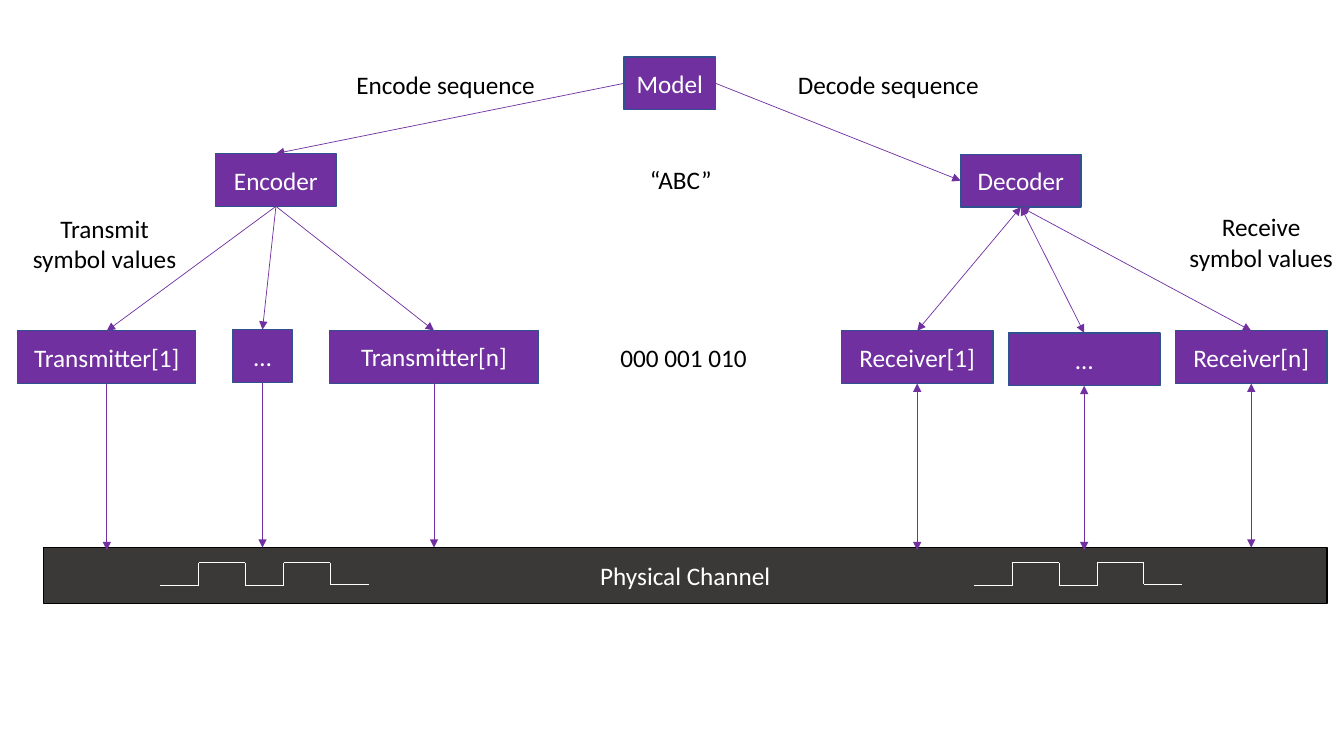
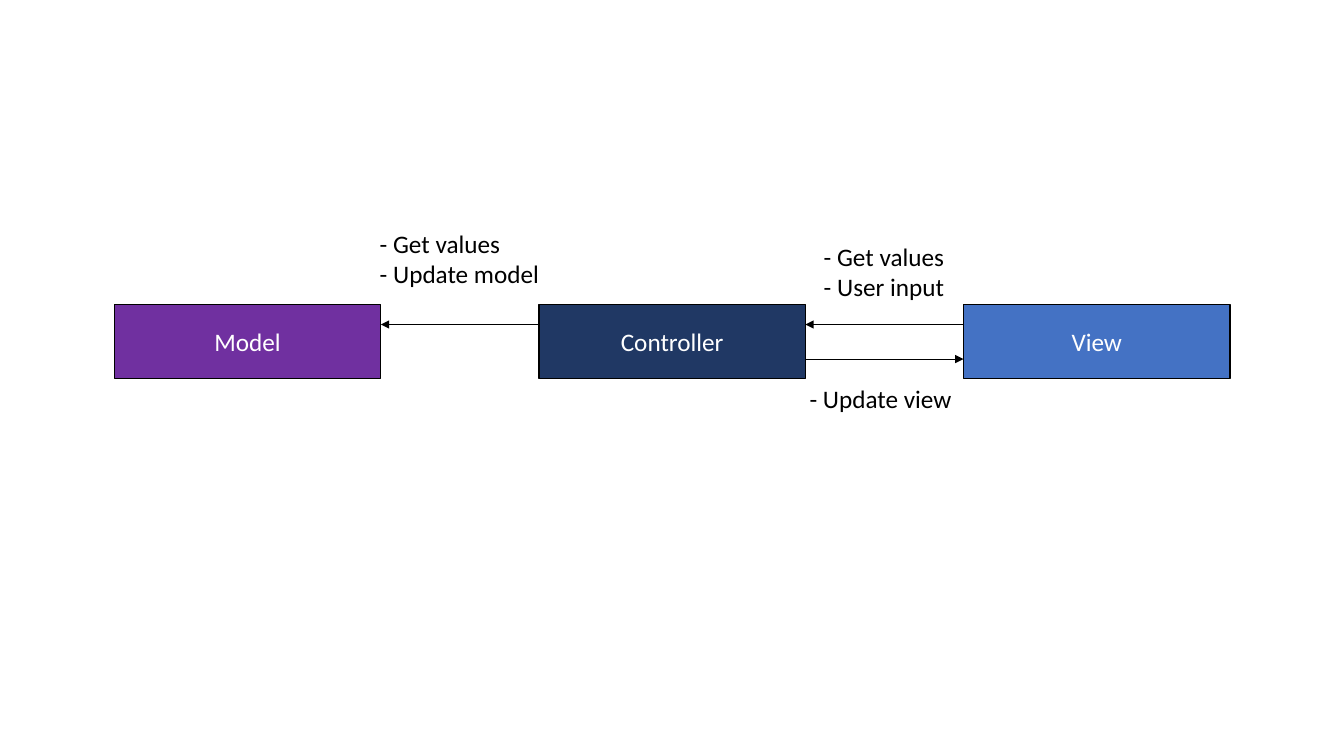
"""Build two architecture diagrams: a channel model and a model-controller-view flow."""
from itertools import pairwise

from lxml import etree
from pptx import Presentation
from pptx.dml.color import RGBColor
from pptx.enum.shapes import MSO_CONNECTOR, MSO_SHAPE
from pptx.enum.text import MSO_ANCHOR, PP_ALIGN
from pptx.oxml.ns import qn
from pptx.util import Pt

RECTANGLE = MSO_SHAPE.RECTANGLE
STRAIGHT = MSO_CONNECTOR.STRAIGHT
MIDDLE, TOP_ANCHOR = MSO_ANCHOR.MIDDLE, MSO_ANCHOR.TOP
CENTER, LEFT = PP_ALIGN.CENTER, PP_ALIGN.LEFT
TOP_SITE, LEFT_SITE, BOTTOM_SITE, RIGHT_SITE = range(4)

PURPLE = RGBColor(0x70, 0x30, 0xA0)
EDGE_BLUE = RGBColor(0x2F, 0x52, 0x8F)
CHARCOAL = RGBColor(0x3B, 0x38, 0x38)
NAVY = RGBColor(0x20, 0x38, 0x64)
BLUE = RGBColor(0x44, 0x72, 0xC4)
BLACK = RGBColor(0, 0, 0)
WHITE = RGBColor(0xFF, 0xFF, 0xFF)


def add_label(slide, text, left, top, width, height, align=LEFT, fill=None, edge=None):
    """Add a filled box with white text, or plain black text when no fill is given."""
    frame = [Pt(value) for value in (left, top, width, height)]
    if fill is None:
        label = slide.shapes.add_textbox(*frame)
    else:
        label = slide.shapes.add_shape(RECTANGLE, *frame)
        label.shadow.inherit = False
        label.fill.solid()
        label.fill.fore_color.rgb = fill
        label.line.color.rgb = edge
        label.line.width = Pt(1)
    label.text_frame.text = text
    label.text_frame.word_wrap = fill is not None
    label.text_frame.vertical_anchor = MIDDLE if fill is not None else TOP_ANCHOR
    for paragraph in label.text_frame.paragraphs:
        paragraph.alignment = align
        paragraph.font.name = "Calibri"
        paragraph.font.size = Pt(18)
        paragraph.font.color.rgb = BLACK if fill is None else WHITE
    return label


def add_line(slide, start, end, color, arrows=("tailEnd",)):
    """Add a thin straight line with triangles at the named ends."""
    line = slide.shapes.add_connector(STRAIGHT, *[Pt(value) for value in (*start, *end)])
    line.line.color.rgb = color
    line.line.width = Pt(0.5)
    for arrow in arrows:
        etree.SubElement(line.line._get_or_add_ln(), qn(f"a:{arrow}"), type="triangle")
    etree.SubElement(line._element.spPr, qn("a:effectLst"))
    return line


presentation = Presentation()
presentation.slide_width, presentation.slide_height = Pt(960), Pt(540)
blank_layout = presentation.slide_layouts[6]

channel_slide = presentation.slides.add_slide(blank_layout)
NODES = {
    "model": ("Model", 445.7, 40.7, 65.5),
    "encoder": ("Encoder", 154.1, 109.7, 86),
    "decoder": ("Decoder", 686.2, 110.2, 86),
    "transmitter n": ("Transmitter[n]", 235.4, 236.1, 149.2),
    "transmitter gap": ("…", 166.1, 235.5, 42.8),
    "transmitter 1": ("Transmitter[1]", 12.7, 236.3, 127.2),
    "receiver 1": ("Receiver[1]", 601, 236.3, 108.3),
    "receiver n": ("Receiver[n]", 839.6, 236.3, 108.3),
    "receiver gap": ("…", 720.3, 237.8, 108.3),
}
nodes = {
    key: add_label(channel_slide, text, left, top, width, 37.7, CENTER, PURPLE, EDGE_BLUE)
    for key, (text, left, top, width) in NODES.items()
}
add_label(channel_slide, "Physical Channel", 31.2, 391.2, 916.6, 39.9, CENTER, CHARCOAL, BLACK)

ONE_WAY, TWO_WAY = ("tailEnd",), ("headEnd", "tailEnd")
LINKS = [
    ("model", LEFT_SITE, "encoder", TOP_SITE, ONE_WAY),
    ("model", RIGHT_SITE, "decoder", LEFT_SITE, ONE_WAY),
]
for coder, family, arrows in (("encoder", "transmitter", ONE_WAY), ("decoder", "receiver", TWO_WAY)):
    for member in ("1", "gap", "n"):
        LINKS.append((coder, BOTTOM_SITE, f"{family} {member}", TOP_SITE, arrows))
for source, source_site, target, target_site, arrows in LINKS:
    link = add_line(channel_slide, (0, 0), (0, 0), PURPLE, arrows)
    link.begin_connect(nodes[source], source_site)
    link.end_connect(nodes[target], target_site)

for key, channel_y, arrows in (
    ("transmitter 1", 393, ONE_WAY),
    ("transmitter gap", 391.2, ONE_WAY),
    ("transmitter n", 391.2, ONE_WAY),
    ("receiver 1", 393, TWO_WAY),
    ("receiver gap", 393, TWO_WAY),
    ("receiver n", 391.2, TWO_WAY),
):
    node = nodes[key]
    center_x = node.left.pt + node.width.pt / 2
    drop = add_line(channel_slide, (center_x, 300), (center_x, channel_y), PURPLE, arrows)
    drop.begin_connect(node, BOTTOM_SITE)

for text, left, top, width, height, align in (
    ("Encode sequence", 247.5, 46.2, 144, 29, LEFT),
    ("Transmit\nsymbol values", 15.7, 149, 118, 51, CENTER),
    ("Receive\nsymbol values", 841.8, 147.6, 118, 51, CENTER),
    ("Decode sequence", 562.8, 46.2, 145.5, 29, LEFT),
    ("“ABC”", 457.2, 114, 65.5, 29, LEFT),
    ("000 001 010", 436.1, 240.7, 106, 29, LEFT),
):
    add_label(channel_slide, text, left, top, width, height, align)

HIGH, LOW, LAST_LOW = 402, 418.3, 417.1
PULSES = [
    (0, LOW), (27.6, LOW), (27.6, HIGH), (60.8, HIGH), (60.8, LOW),
    (88.2, LOW), (88.2, HIGH), (121.4, HIGH), (121.4, LAST_LOW), (149, LAST_LOW),
]
for signal_left in (114.4, 695.6):
    for (x1, y1), (x2, y2) in pairwise(PULSES):
        add_line(channel_slide, (signal_left + x1, y1), (signal_left + x2, y2), WHITE, ())

flow_slide = presentation.slides.add_slide(blank_layout)
PART_LEFT, PART_WIDTH, PART_PITCH = 81.7, 190.3, 303.3
for column, (text, fill) in enumerate((("Model", PURPLE), ("Controller", NAVY), ("View", BLUE))):
    add_label(flow_slide, text, PART_LEFT + column * PART_PITCH, 217.4, PART_WIDTH, 52.8,
              CENTER, fill, BLACK)

model_right = PART_LEFT + PART_WIDTH
controller_left = PART_LEFT + PART_PITCH
controller_right = controller_left + PART_WIDTH
view_left = controller_left + PART_PITCH
for start_x, end_x, y in (
    (controller_left, model_right, 231.8),
    (view_left, controller_right, 231.8),
    (controller_right, view_left, 256.5),
):
    add_line(flow_slide, (start_x, y), (end_x, y), BLACK)

for text, left, top, width, height in (
    ("- Get values\n- User input", 581.3, 168.8, 101.5, 51),
    ("- Get values\n- Update model", 264.2, 159.6, 129.6, 51),
    ("- Update view", 571.2, 270, 117.4, 29),
):
    add_label(flow_slide, text, left, top, width, height)

presentation.save("out.pptx")
